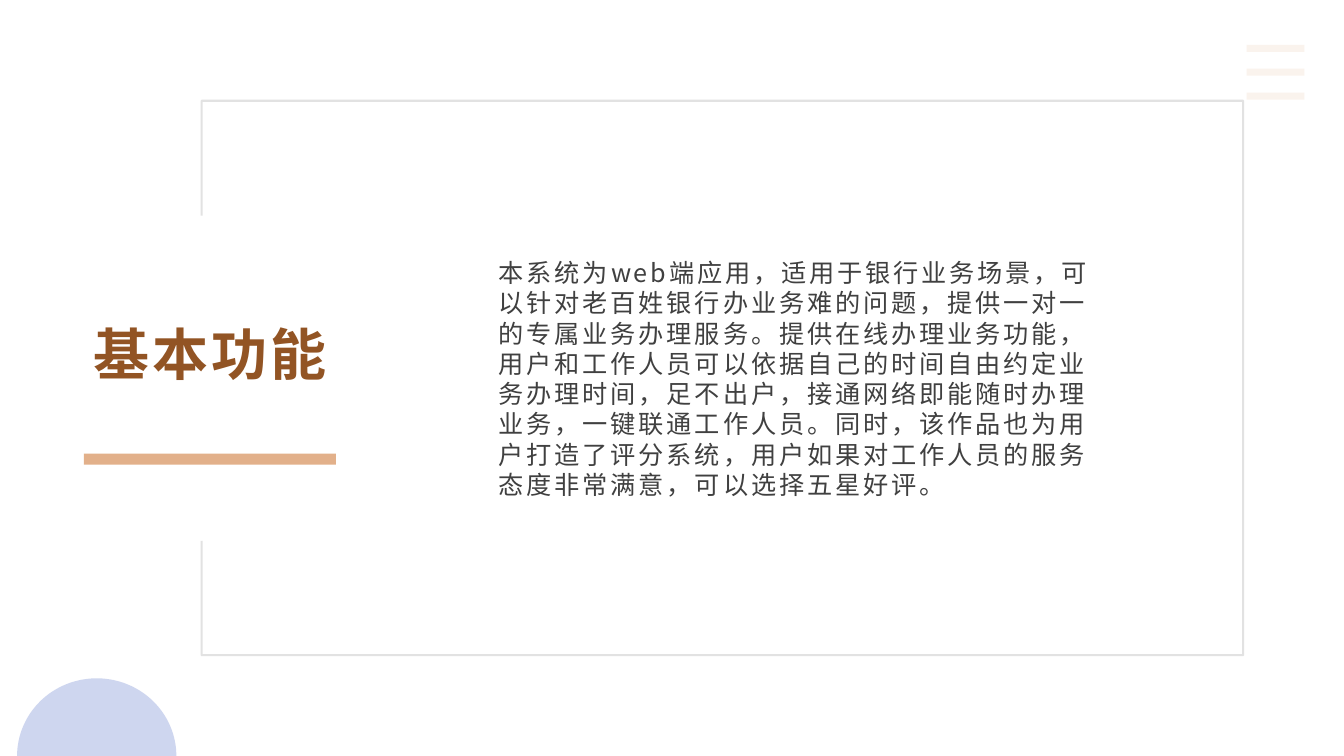
from dataclasses import dataclass
from math import cos, pi, sin

from pptx import Presentation
from pptx.dml.color import RGBColor as Color
from pptx.enum.shapes import MSO_CONNECTOR as Connector, MSO_SHAPE as Preset
from pptx.enum.text import MSO_ANCHOR as Anchor, MSO_AUTO_SIZE as AutoSize, PP_ALIGN as Align
from pptx.oxml.ns import qn
from pptx.oxml.xmlchemy import OxmlElement as Element
from pptx.util import Inches, Pt


@dataclass(frozen=True)
class Theme:
    font: str = "Noto Sans CJK SC"
    heading: str = "925424"
    accent: str = "E2B08A"
    dome: str = "9FAEE0"
    frame: str = "D9D9D9"
    text: str = "404040"
    title_size: float = 40
    body_size: float = 18


class Canvas:
    """Draws themed elements on a page divided into 80 columns and 45 rows."""

    def __init__(self, deck, theme):
        self.theme = theme
        self.page = deck.slides.add_slide(deck.slide_layouts[1])
        self.column = deck.slide_width / 80
        self.row = deck.slide_height / 45

    def point(self, column, row):
        return round(column * self.column), round(row * self.row)

    def fade(self, shape, percent):
        for color in shape._element.spPr.iter(qn("a:srgbClr")):
            alpha = Element("a:alpha")
            alpha.set("val", str(percent * 1000))
            color.append(alpha)

    def stroke(self, shape, color, width):
        shape.line.color.rgb = Color.from_string(color)
        shape.line.width = Pt(width)

    def fill(self, shape, color):
        shape.fill.solid()
        shape.fill.fore_color.rgb = Color.from_string(color)
        shape.line.fill.background()
        shape.shadow.inherit = False

    def line(self, start, end, color, width, opacity):
        line = self.page.shapes.add_connector(
            Connector.STRAIGHT, *self.point(*start), *self.point(*end))
        self.stroke(line, color, width)
        self.fade(line, opacity)
        line._element.spPr.append(Element("a:effectLst"))

    def bar(self, start, size, color):
        bar = self.page.shapes.add_shape(
            Preset.RECTANGLE, *self.point(*start), *self.point(*size))
        self.fill(bar, color)

    def outline(self, corners, close):
        first, *rest = [self.point(*corner) for corner in corners]
        builder = self.page.shapes.build_freeform(*first)
        builder.add_line_segments(rest, close=close)
        return builder.convert_to_shape()

    def open_frame(self, corners, color, width, opacity):
        frame = self.outline(corners, close=False)
        frame.fill.background()
        frame.shadow.inherit = False
        self.stroke(frame, color, width)
        self.fade(frame, opacity)

    def dome(self, center, radii, color, opacity):
        steps = 90
        angles = [pi * (1 + step / steps) for step in range(steps + 1)]
        arc = [(center[0] + radii[0] * cos(angle), center[1] + radii[1] * sin(angle))
               for angle in angles]
        dome = self.outline(arc, close=True)
        self.fill(dome, color)
        self.fade(dome, opacity)

    def text(self, box, start, size, words, points, color, bold, spacing, align):
        box.left, box.top = self.point(*start)
        box.width, box.height = self.point(*size)
        frame = box.text_frame
        frame.text = words
        frame.word_wrap = True
        frame.auto_size = AutoSize.NONE
        frame.vertical_anchor = Anchor.MIDDLE
        frame.margin_left = frame.margin_right = Inches(0.07)
        frame.margin_top = frame.margin_bottom = Inches(0.03)
        para = frame.paragraphs[0]
        para.alignment = align
        para.line_spacing = 1.0
        para.space_before = Pt(0)
        properties = para._p.get_or_add_pPr()
        properties.set("marL", "0")
        properties.set("indent", "0")
        properties.append(Element("a:buNone"))
        span = para.runs[0]
        span.font.name = self.theme.font
        span.font.size = Pt(points)
        span.font.bold = bold
        span.font.color.rgb = Color.from_string(color)
        run_properties = span._r.get_or_add_rPr()
        run_properties.set("lang", "zh-CN")
        run_properties.set("spc", str(round(spacing * 100)))
        east_asian = Element("a:ea")
        east_asian.set("typeface", self.theme.font)
        run_properties.find(qn("a:latin")).addnext(east_asian)

    def title(self, start, size, words):
        self.text(self.page.shapes.title, start, size, words, self.theme.title_size,
                  self.theme.heading, True, 2.4, Align.CENTER)

    def body(self, start, size, words):
        self.text(self.page.placeholders[1], start, size, words, self.theme.body_size,
                  self.theme.text, False, 2, Align.LEFT)


def main():
    deck = Presentation()
    deck.slide_width, deck.slide_height = Inches(13.33), Inches(7.5)
    theme = Theme()
    canvas = Canvas(deck, theme)

    for index in range(3):
        row = 2.88 + index * 1.42
        canvas.line((74.2, row), (77.64, row), theme.accent, 5, 15)
    canvas.dome((5.76, 45), (4.74, 4.62), theme.dome, 50)
    canvas.bar((5, 27), (15, 0.66), theme.accent)
    canvas.open_frame([(12, 12.84), (12, 6), (74, 6), (74, 39), (12, 39), (12, 32.2)],
                      theme.frame, 1.5, 75)
    canvas.title((4, 16), (17, 10), "基本功能")
    canvas.body((29.28, 13.62), (36.5, 17.82),
                "本系统为web端应用，适用于银行业务场景，可以针对老百姓银行办业务难的问题，"
                "提供一对一的专属业务办理服务。提供在线办理业务功能，用户和工作人员可以依据"
                "自己的时间自由约定业务办理时间，足不出户，接通网络即能随时办理业务，"
                "一键联通工作人员。同时，该作品也为用户打造了评分系统，"
                "用户如果对工作人员的服务态度非常满意，可以选择五星好评。")
    deck.save("out.pptx")


if __name__ == "__main__":
    main()
